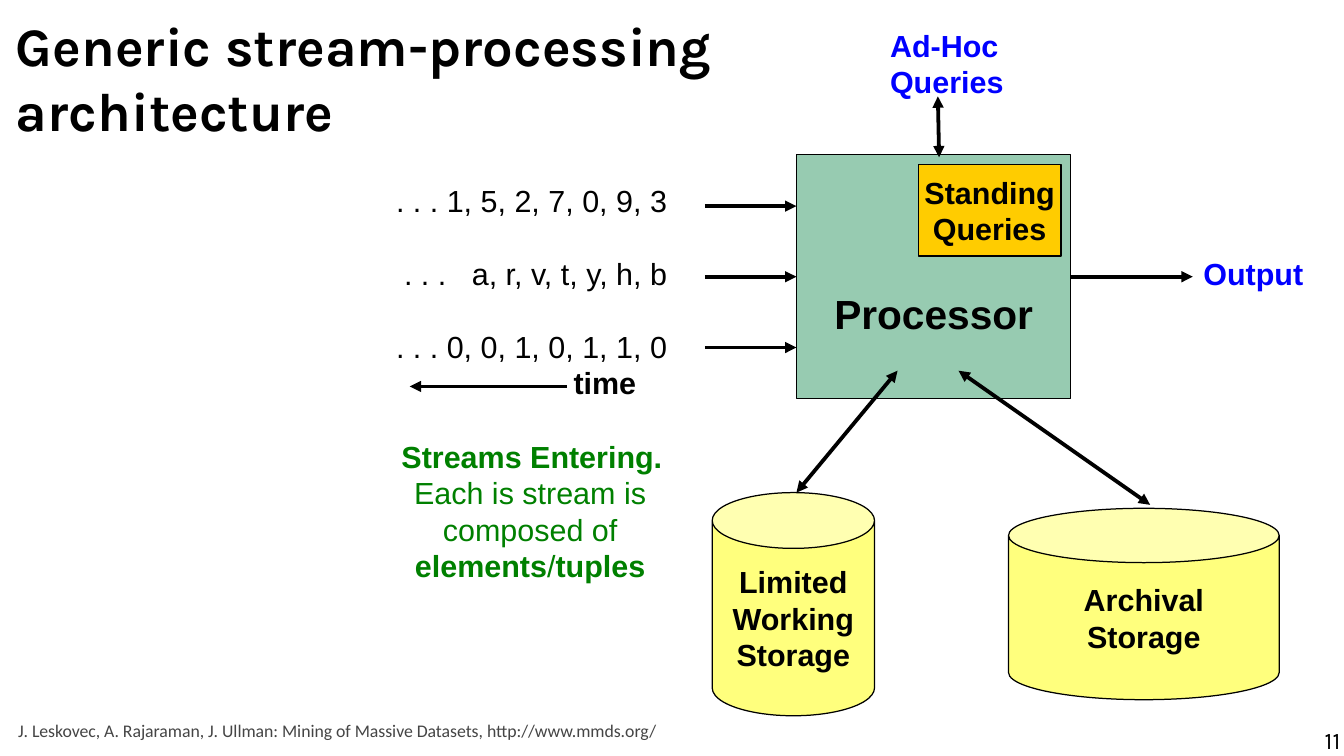
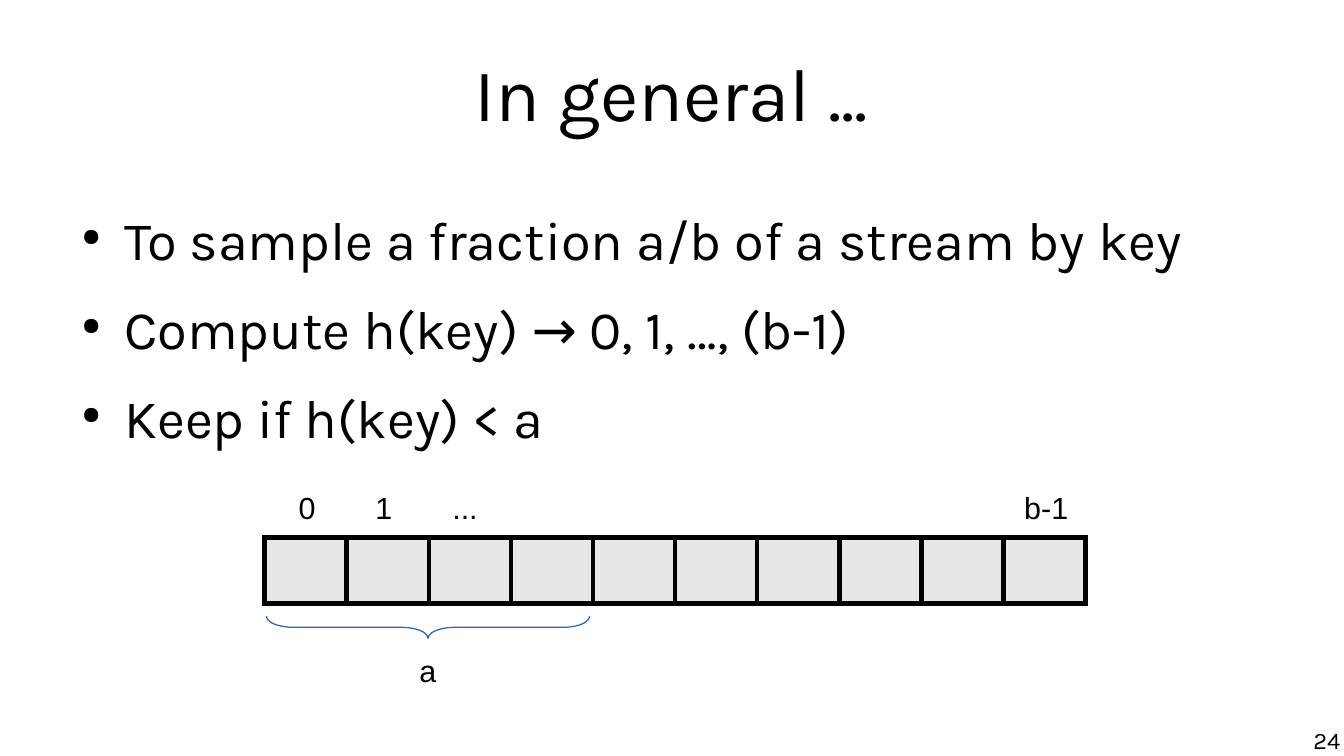
from lxml import etree
from pptx import Presentation
from pptx.dml.color import RGBColor
from pptx.enum.shapes import MSO_CONNECTOR, MSO_SHAPE
from pptx.enum.text import MSO_ANCHOR, PP_ALIGN
from pptx.oxml.ns import qn
from pptx.util import Pt

LEFT, CENTER, RIGHT = PP_ALIGN.LEFT, PP_ALIGN.CENTER, PP_ALIGN.RIGHT
TOP, MIDDLE = MSO_ANCHOR.TOP, MSO_ANCHOR.MIDDLE
RECTANGLE, CAN, BRACE = MSO_SHAPE.RECTANGLE, MSO_SHAPE.CAN, MSO_SHAPE.RIGHT_BRACE
STRAIGHT = MSO_CONNECTOR.STRAIGHT

TITLE_FONT, LABEL_FONT, SOURCE_FONT = "Karla", "Arial", "Calibri"
BLACK, BLUE, GREEN, GRAY = "000000", "0000FF", "008000", "454545"
SEA_GREEN, YELLOW, ORANGE = "339966", "FFFF00", "FFCC00"
CELL_GRAY, BRACE_BLUE = "E7E7E7", "3465A4"
LABEL_INSETS, NO_INSETS = (7.2, 3.6, 7.2, 3.6), (0, 0, 0, 0)

color = RGBColor.from_string


def write(shape, lines, size=18, font=LABEL_FONT, ink=BLACK, bold=False, align=LEFT,
          anchor=TOP, insets=LABEL_INSETS, gap=0, wrap=True):
    """Fill a shape with one paragraph per line."""
    frame = shape.text_frame
    frame.text = "\n".join(lines)
    frame.word_wrap = wrap
    frame.vertical_anchor = anchor
    (frame.margin_left, frame.margin_top,
     frame.margin_right, frame.margin_bottom) = map(Pt, insets)
    for index, paragraph in enumerate(frame.paragraphs):
        paragraph.alignment = align
        if index and gap:
            paragraph.space_before = Pt(gap)
        for span in paragraph.runs:
            span.font.size = Pt(size)
            span.font.name = font
            span.font.bold = bold
            span.font.color.rgb = color(ink)
    return frame.paragraphs


def label(page, place, lines, **style):
    """Add a text box at left, top, width, height."""
    return write(page.shapes.add_textbox(*map(Pt, place)), lines, **style)


deck = Presentation()
deck.slide_width, deck.slide_height = Pt(793.44), Pt(446.4)

# Shared: title and page number
slides = [
    ("Generic stream-processing\varchitecture", (9.4, 2.2, 468, 87), 32, True, LEFT, "11"),
    ("In general ...", (39.6, 0.7, 714, 107.3), 44, False, CENTER, "24"),
]
pages = []
for title, place, size, bold, align, number in slides:
    page = deck.slides.add_slide(deck.slide_layouts[6])
    label(page, place, [title], size=size, font=TITLE_FONT, bold=bold, align=align,
          anchor=MIDDLE, insets=NO_INSETS)
    label(page, (606, 428.4, 185.3, 18), [number], size=14, font=TITLE_FONT,
          align=RIGHT, insets=NO_INSETS)
    pages.append(page)
architecture, general = pages

# Architecture: processor, queries and storage
blocks = [
    (RECTANGLE, (470.2, 91.4, 162, 144), SEA_GREEN, 51, None, ["Processor"], 24, 46.8),
    (CAN, (420.5, 290.9, 95.8, 131.8), YELLOW, 51, 0.344,
     ["Limited", "Working", "Storage"], 18, 3.6),
    (CAN, (595.4, 300.2, 159.8, 113), YELLOW, 51, 0.284, ["Archival", "Storage"], 18, 3.6),
    (RECTANGLE, (542.2, 97.2, 84.2, 54), ORANGE, 100, None, ["Standing", "Queries"], 18, 3.6),
]
for kind, place, fill, opacity, lid, lines, size, top_inset in blocks:
    block = architecture.shapes.add_shape(kind, *map(Pt, place))
    block.shadow.inherit = False
    block.fill.solid()
    block.fill.fore_color.rgb = color(fill)
    if opacity < 100:
        fill_color = block.fill._xPr.find(qn("a:solidFill"))[0]
        etree.SubElement(fill_color, qn("a:alpha"), val=str(opacity * 1000))
    block.line.color.rgb = color(BLACK)
    block.line.width = Pt(0.75)
    if lid:
        block.adjustments[0] = lid
    write(block, lines, size=size, bold=True, align=CENTER, anchor=MIDDLE,
          insets=(7.2, top_inset, 7.2, 3.6), wrap=False)

# Architecture: arrows as start, end, ends with a head
stream_arrows = [((416.2, y), (470.2, y), ["tailEnd"]) for y in (121.7, 163.4, 205.2)]
both_ends = ["headEnd", "tailEnd"]
arrows = stream_arrows + [
    ((334.8, 228.2), (241.9, 228.2), ["tailEnd"]),
    ((632.2, 163.4), (704.2, 163.4), ["tailEnd"]),
    ((553.7, 56.9), (554.4, 92.9), both_ends),
    ((529.9, 218.9), (470.2, 290.9), both_ends),
    ((565.9, 218.9), (679, 298.1), both_ends),
]
for start, end, heads in arrows:
    arrow = architecture.shapes.add_connector(STRAIGHT, *map(Pt, start + end))
    arrow.line.color.rgb = color(BLACK)
    arrow.line.width = Pt(2.25)
    for head in heads:
        etree.SubElement(arrow.line._get_or_add_ln(), qn("a:" + head), type="triangle")
    etree.SubElement(arrow._element.spPr, qn("a:effectLst"))

# Architecture: streams and their caption
streams = label(architecture, (205, 103.7, 196, 115),
                [". . . 1, 5, 2, 7, 0, 9, 3", ". . . a, r, v, t, y, h, b",
                 ". . . 0, 0, 1, 0, 1, 1, 0"], align=RIGHT, gap=21.6)
letters = streams[1].runs[0]
letters.text = ". . ."
for text, tracking in ((" ", "1000"), ("a, r, v, t, y, h, b", "0")):
    span = streams[1].add_run()
    span.text = text
    span.font.size, span.font.name = letters.font.size, LABEL_FONT
    span.font.color.rgb = color(BLACK)
    span._r.get_or_add_rPr().set("spc", tracking)

label(architecture, (331.5, 211.7, 60, 29), ["time"], bold=True)
label(architecture, (215, 254.9, 198, 30), ["Streams Entering."],
      ink=GREEN, bold=True, align=CENTER)
caption = label(architecture, (215, 276.5, 196, 72),
                ["Each is stream is", "composed of", "elements"], ink=GREEN, align=CENTER)
caption[2].runs[0].font.bold = True
for text, bold in (("/", False), ("tuples", True)):
    span = caption[2].add_run()
    span.text = text
    span.font.size, span.font.name, span.font.bold = Pt(18), LABEL_FONT, bold
    span.font.color.rgb = color(GREEN)

# Architecture: query and output labels, source
label(architecture, (518.4, 12.2, 100, 50), ["Ad-Hoc", "Queries"], ink=BLUE, bold=True)
label(architecture, (703.4, 146.9, 88, 29), ["Output"], ink=BLUE, bold=True)
label(architecture, (3.6, 421.2, 531.4, 20.2),
      ["J. Leskovec, A. Rajaraman, J. Ullman: Mining of Massive Datasets, http://www.mmds.org/"],
      size=10.5, font=SOURCE_FONT, ink=GRAY)

# General: bullets
bullets = label(general, (39.6, 121.7, 714.2, 165),
                ["To sample a fraction a/b of a stream by key",
                 "Compute h(key) → 0, 1, …, (b-1)", "Keep if h(key) < a"],
                size=32, font=TITLE_FONT, insets=NO_INSETS, gap=14.2)
for paragraph in bullets:
    settings = paragraph._p.get_or_add_pPr()
    settings.set("marL", str(Pt(33.8)))
    settings.set("indent", str(Pt(-25.2)))
    bullet_color = etree.SubElement(settings, qn("a:buClr"))
    etree.SubElement(bullet_color, qn("a:srgbClr"), val=BLACK)
    etree.SubElement(settings, qn("a:buSzPct"), val="45000")
    etree.SubElement(settings, qn("a:buChar"), char="●")

# General: row of hash buckets
BUCKETS = 10
table = general.shapes.add_table(1, BUCKETS, Pt(156.2), Pt(317.5), Pt(485), Pt(38.9)).table
table.first_row = table.horz_banding = False
for column, cell in zip(table.columns, table.rows[0].cells):
    column.width = Pt(48.5)
    cell.fill.solid()
    cell.fill.fore_color.rgb = color(CELL_GRAY)
    for index, side in enumerate(("lnL", "lnR", "lnT", "lnB")):
        border = etree.Element(qn("a:" + side), w=str(Pt(3)))
        border_fill = etree.SubElement(border, qn("a:solidFill"))
        etree.SubElement(border_fill, qn("a:srgbClr"), val=BLACK)
        cell._tc.get_or_add_tcPr().insert(index, border)

# General: bucket labels and brace
bucket_labels = [("0", 169.2, 285.1), ("1", 214.6, 285.1), ("...", 260, 285.1),
                 ("b-1", 597.6, 285.1), ("a", 240.5, 381.6)]
for text, left, top in bucket_labels:
    label(general, (left, top, 45, 27.4), [text])

brace = general.shapes.add_shape(BRACE, Pt(246.2), Pt(275), Pt(13), Pt(190.8))
brace.rotation = 90
brace.adjustments[0] = 1.22
brace.shadow.inherit = False
brace.fill.background()
brace.line.color.rgb = color(BRACE_BLUE)
brace.line.width = Pt(0)

deck.save("out.pptx")
